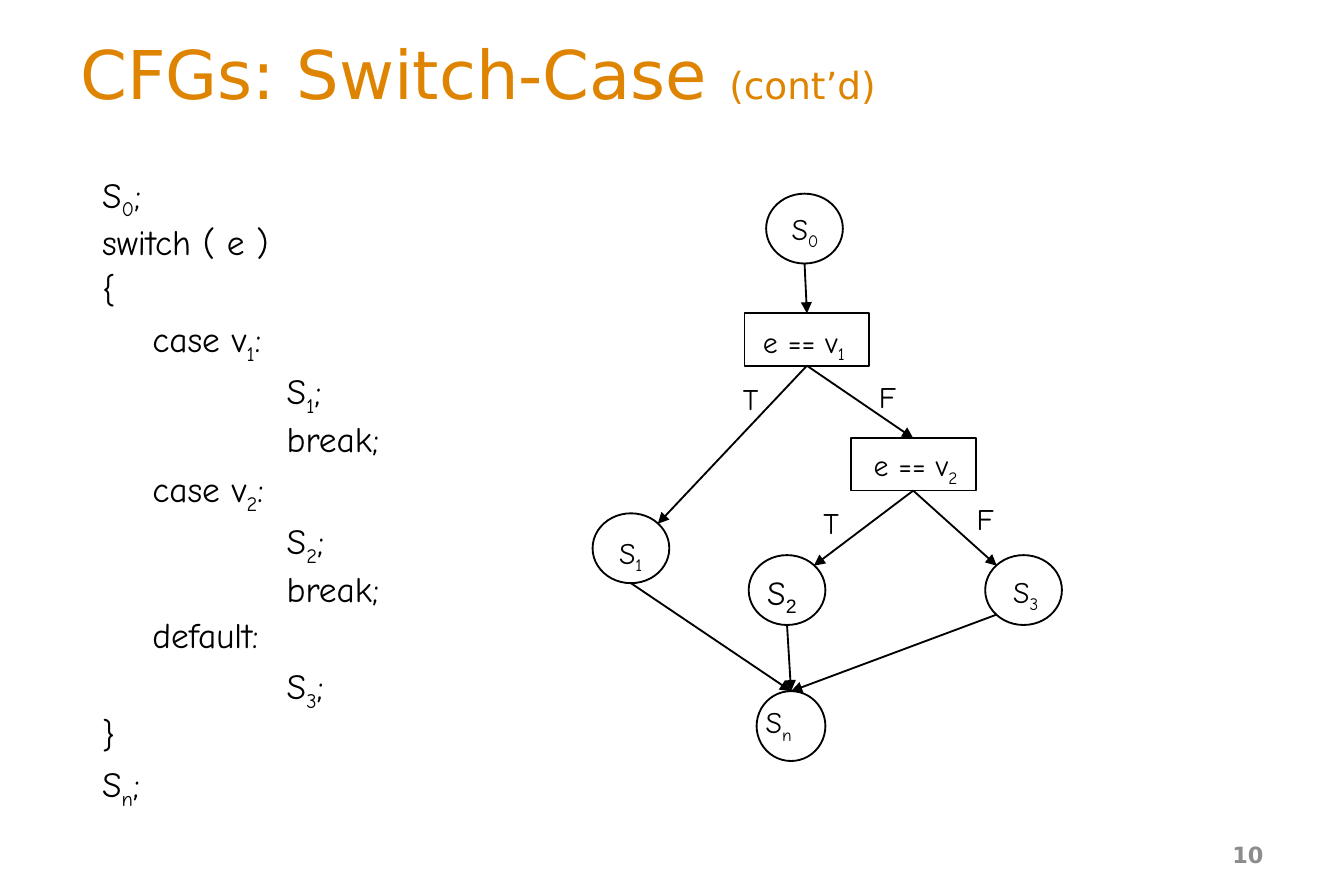
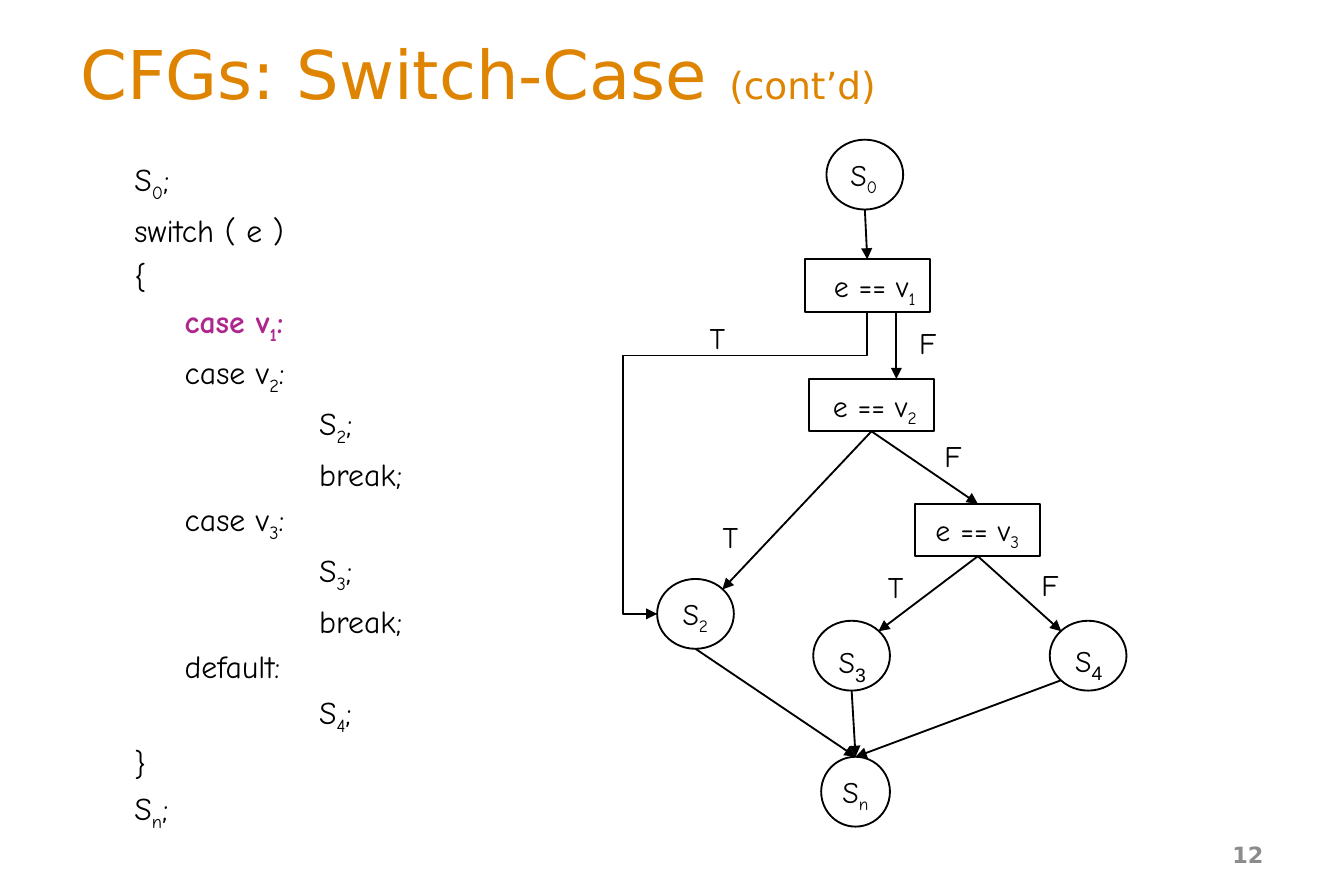
import pptx
import pptx.util
import pptx.dml.color
import pptx.enum.shapes
import pptx.enum.text
import pptx.oxml

Cm, Pt = pptx.util.Cm, pptx.util.Pt
SHAPES = pptx.enum.shapes.MSO_SHAPE
ALIGN = pptx.enum.text.PP_ALIGN
ANCHOR = pptx.enum.text.MSO_ANCHOR
LINKS = pptx.enum.shapes.MSO_CONNECTOR

COLORS = {"title": "DE8400", "ink": "000000", "accent": "AD278D", "number": "8C8C8C"}

# Text formats shared by both slides
TITLE = {"name": "DejaVu Sans", "size": Pt(36), "color": "title"}
SUBTITLE = {**TITLE, "size": Pt(20)}
NUMBER = {"name": "DejaVu Sans", "size": Pt(12), "bold": True, "color": "number"}
HAND = {"name": "Comic Neue", "size": Pt(16), "color": "ink"}
ARIAL_SUB = {"name": "Arial", "size": Pt(18)}

# Node sizes and points on a node's edge, as fractions of its box
TEST, LEAF, EXIT = (2.36, 0.99), (1.45, 1.32), (1.3, 1.32)
EDGES = {"top": (0.5, 0), "bottom": (0.5, 1), "left": (0, 0.5),
         "upper left": (0.15, 0.15), "upper right": (0.85, 0.15), "lower left": (0.15, 0.85)}
CODE_INDENTS = [0, 0.95, 3.49]


def set_all(target, values):
    for name, value in values.items():
        setattr(target, name, value)


def rgb(name):
    return pptx.dml.color.RGBColor.from_string(COLORS[name])


def add_span(para, text, style):
    span = para.add_run()
    span.text = text
    set_all(span.font, {key: value for key, value in style.items() if key != "color"})
    span.font.color.rgb = rgb(style["color"])
    return span


def add_code(para, text, style, sub_style=None):
    """Write text in which the character after "_" is a subscript."""
    base, mark, rest = text.partition("_")
    add_span(para, base, style)
    if mark:
        sub = add_span(para, rest[0], {**style, **(sub_style or {})})
        sub.font._element.set("baseline", "-25000")
    if rest[1:]:
        add_span(para, rest[1:], style)


def add_box(page, left, top, width, height, **frame_values):
    box = page.shapes.add_textbox(Cm(left), Cm(top), Cm(width), Cm(height))
    set_all(box.text_frame, {"word_wrap": True, **frame_values})
    return box.text_frame


def add_label(page, text, left, top, width=2.6, style=HAND, sub_style=None):
    para = add_box(page, left, top, width, 0.86).paragraphs[0]
    para.line_spacing = 0.9
    add_code(para, text, style, sub_style)


def add_node(page, kind, left, top, size, label):
    """Outline a node; label is (text, x offset, y offset[, style, subscript style])."""
    node = page.shapes.add_shape(kind, Cm(left), Cm(top), *map(Cm, size))
    node.shadow.inherit = False
    node.fill.background()
    node.line.color.rgb = rgb("ink")
    node.line.width = Pt(1)
    text, shift_x, shift_y, *styles = label
    add_label(page, text, left + shift_x, top + shift_y, 2.6, *styles)
    return node


def edge(node, name):
    across, down = EDGES[name]
    return int(node.left + across * node.width), int(node.top + down * node.height)


def add_arrow(page, start, end, kind=LINKS.STRAIGHT):
    arrow = page.shapes.add_connector(kind, *start, *end)
    arrow.line.color.rgb = rgb("ink")
    arrow.line.width = Pt(1)
    line = arrow.line._get_or_add_ln()
    pptx.oxml.ns  # namespaces used by the helpers below
    tail = line.makeelement(pptx.oxml.ns.qn("a:tailEnd"), {"type": "triangle"})
    line.append(tail)
    props = arrow.element.spPr
    props.append(props.makeelement(pptx.oxml.ns.qn("a:effectLst"), {}))
    return arrow


def add_detour(page, start, end, drop, overshoot):
    """Elbow arrow: down by drop, left past the end by overshoot, down, then right."""
    width, height = start[0] - end[0], end[1] - start[1]
    left = (start[0] + end[0] - height) // 2
    top = (start[1] + end[1] - width) // 2
    arrow = add_arrow(page, (left, top), (left + height, top + width), LINKS.ELBOW)
    qn = pptx.oxml.ns.qn
    props = arrow.element.spPr
    props.find(qn("a:xfrm")).set("rot", "5400000")
    geometry = props.find(qn("a:prstGeom"))
    geometry.set("prst", "bentConnector4")
    guides = geometry.find(qn("a:avLst"))
    ratios = [drop / height, 1 + overshoot / width]
    for number, ratio in enumerate(ratios, 1):
        values = {"name": f"adj{number}", "fmla": f"val {round(ratio * 100000)}"}
        guides.append(guides.makeelement(qn("a:gd"), values))


# Title and page number
def draw_frame(page, number):
    para = add_box(page, 1.27, 0.69, 22.86, 1.35, vertical_anchor=ANCHOR.MIDDLE).paragraphs[0]
    add_span(para, "CFGs: Switch-Case ", TITLE)
    add_span(para, "(cont’d)", SUBTITLE)
    para = add_box(page, 18.21, 15.7, 5.92, 0.91, vertical_anchor=ANCHOR.MIDDLE).paragraphs[0]
    para.alignment = ALIGN.RIGHT
    add_span(para, str(number), NUMBER)


# Code listing: lines are (indent level, text)
def draw_code(page, box, lines, size, spacing, gap, accented=()):
    frame = add_box(page, *box)
    for index, (level, text) in enumerate(lines):
        para = frame.paragraphs[0] if index == 0 else frame.add_paragraph()
        para.line_spacing = spacing
        if index:
            para.space_before = Pt(gap)
        para._p.get_or_add_pPr().set("marL", str(Cm(CODE_INDENTS[level])))
        style = {**HAND, "size": Pt(size)}
        if text in accented:
            style.update(bold=True, color="accent")
        add_code(para, text, style)


# Start node above the first test
def draw_start(page, box, label):
    left, top = box
    start = add_node(page, SHAPES.OVAL, left + 0.41, top, LEAF, label)
    add_arrow(page, edge(start, "bottom"), (Cm(left + TEST[0] / 2), Cm(top + 2.26)))


# Two tests, three leaves and the exit
def draw_branches(page, box, labels, marks):
    left, top = box
    places = {
        "first": (SHAPES.RECTANGLE, 2.87, 0, TEST),
        "second": (SHAPES.RECTANGLE, 4.88, 2.36, TEST),
        "near": (SHAPES.OVAL, 0, 3.78, LEAF),
        "middle": (SHAPES.OVAL, 2.95, 4.57, LEAF),
        "far": (SHAPES.OVAL, 7.42, 4.57, LEAF),
        "exit": (SHAPES.OVAL, 3.1, 7.14, EXIT),
    }
    nodes = {name: add_node(page, kind, left + x, top + y, size, labels[name])
             for name, (kind, x, y, size) in places.items()}
    links = [("first", "bottom", "near", "upper right"), ("first", "bottom", "second", "top"),
             ("second", "bottom", "middle", "upper right"),
             ("second", "bottom", "far", "upper left"),
             ("near", "bottom", "exit", "top"), ("middle", "bottom", "exit", "top"),
             ("far", "lower left", "exit", "top")]
    for source, source_edge, target, target_edge in links:
        add_arrow(page, edge(nodes[source], source_edge), edge(nodes[target], target_edge))
    for text, x, y in marks:
        add_label(page, text, left + x, top + y, 1.35)
    return nodes


# Slide with two cases and a default
def draw_two_cases(page):
    draw_frame(page, 10)
    lines = [(0, "S_0;"), (0, "switch ( e )"), (0, "{"),
             (1, "case v_1:"), (2, "S_1;"), (2, "break;"),
             (1, "case v_2:"), (2, "S_2;"), (2, "break;"),
             (1, "default:"), (2, "S_3;"), (0, "}"), (0, "S_n;")]
    draw_code(page, (1.68, 3.15, 8.66, 11.76), lines, 19, 0.9, 4.4)
    draw_start(page, (14.07, 3.66), ("S_0", 0.23, 0.2))
    labels = {"first": ("e == v_1", 0.1, 0.08), "second": ("e == v_2", 0.18, 0.05),
              "near": ("S_1", 0.25, 0.28),
              "middle": ("S_2", 0.1, 0.2, {**HAND, "size": Pt(18)}, ARIAL_SUB),
              "far": ("S_3", 0.28, 0.23), "exit": ("S_n", -0.08, 0.13)}
    marks = [("T", 2.59, 1.22), ("F", 5.16, 1.19), ("T", 4.11, 3.56), ("F", 7.01, 3.5)]
    draw_branches(page, (11.2, 5.92), labels, marks)


# Slide with a case that falls through
def draw_fall_through(page):
    draw_frame(page, 12)
    lines = [(0, "S_0;"), (0, "switch ( e )"), (0, "{"), (1, "case v_1:"),
             (1, "case v_2:"), (2, "S_2;"), (2, "break;"),
             (1, "case v_3:"), (2, "S_3;"), (2, "break;"),
             (1, "default:"), (2, "S_4;"), (0, "}"), (0, "S_n;")]
    draw_code(page, (2.29, 2.9, 7.09, 12.83), lines, 17, 1.0, 4, ["case v_1:"])
    draw_start(page, (15.21, 2.64), ("S_0", 0.2, 0.2))
    test = add_node(page, SHAPES.RECTANGLE, 15.21, 4.9, TEST, ("e == v_1", 0.3, 0.05))
    labels = {"first": ("e == v_2", 0.2, 0.05), "second": ("e == v_3", 0.13, 0.03),
              "near": ("S_2", 0.23, 0.2), "middle": ("S_3", 0.23, 0.25, HAND, ARIAL_SUB),
              "far": ("S_4", 0.23, 0.23, HAND, ARIAL_SUB), "exit": ("S_n", 0.15, 0.2)}
    marks = [("T", 0.99, 2.59), ("F", 5.18, 1.07), ("T", 4.11, 3.53), ("F", 7.01, 3.5),
             ("F", 4.7, -1.07), ("T", 0.74, -1.17)]
    nodes = draw_branches(page, (12.42, 7.16), labels, marks)
    add_arrow(page, (Cm(16.94), test.top + test.height), (Cm(16.94), nodes["first"].top))
    add_detour(page, edge(test, "bottom"), edge(nodes["near"], "left"), Cm(0.83), Cm(0.64))


def main():
    deck = pptx.Presentation()
    set_all(deck, {"slide_width": Cm(25.4), "slide_height": Cm(16.93)})
    for draw in (draw_two_cases, draw_fall_through):
        draw(deck.slides.add_slide(deck.slide_layouts[6]))
    deck.save("out.pptx")


if __name__ == "__main__":
    main()
